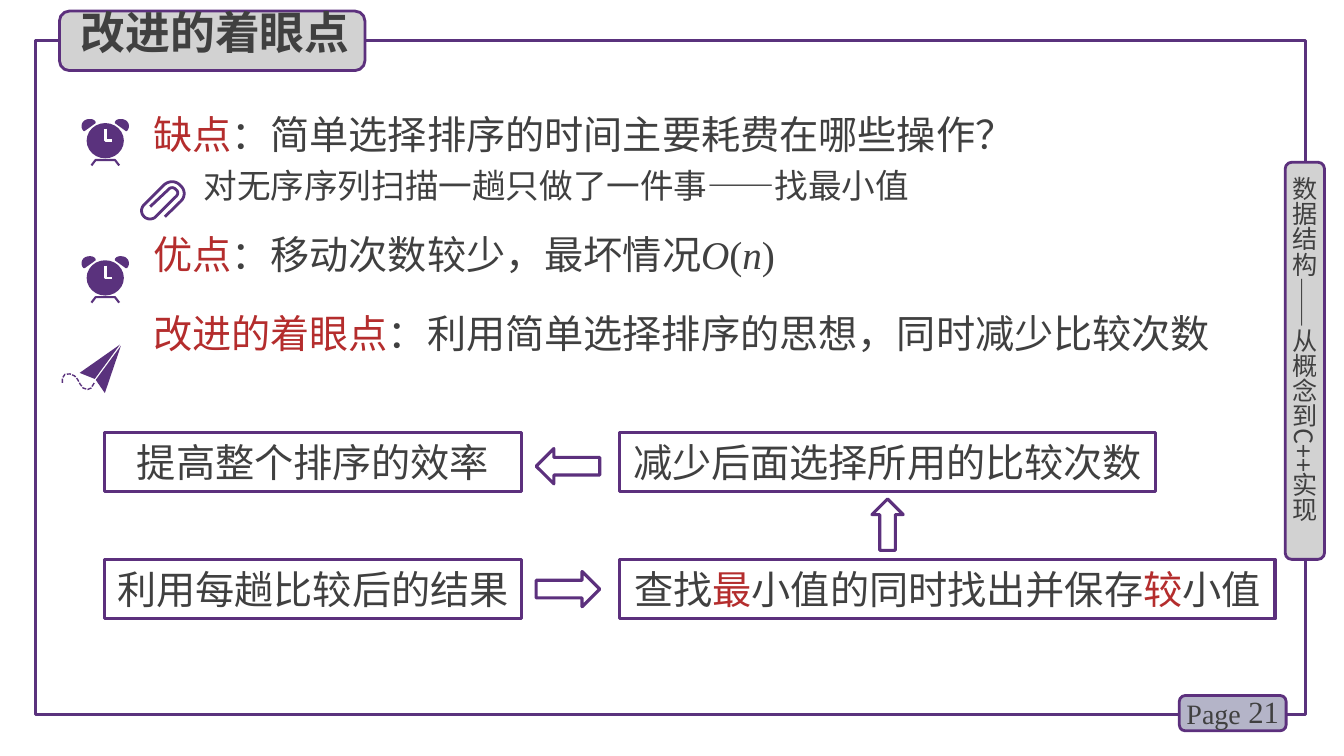
import pptx
import pptx.dml.color
import pptx.enum.dml
import pptx.enum.shapes
import pptx.enum.text
import pptx.oxml
import pptx.oxml.ns
import pptx.util

Pt = pptx.util.Pt
PRESET = pptx.enum.shapes.MSO_SHAPE
ALIGN = pptx.enum.text.PP_ALIGN
ANCHOR = pptx.enum.text.MSO_ANCHOR
NS = pptx.oxml.ns.nsdecls("a")
HAN, SERIF = "Noto Sans CJK SC", "Times New Roman"
PURPLE, BORDER, RED, INK = "5A327D", "5C307D", "B42D2D", "404040"
GREY, LILAC, WHITE = "D2D2D2", "B4B4C8", "FFFFFF"


def paint(color_format, code):
    color_format.rgb = pptx.dml.color.RGBColor.from_string(code)


def trace(outline):
    """Points of an outline; six-number steps are cubic curves."""
    points = [outline[0]]
    for step in outline[1:]:
        if len(step) == 2:
            points.append(step)
            continue
        nodes = [points[-1], step[:2], step[2:4], step[4:]]
        for t in (i / 10 for i in range(1, 11)):
            weights = ((1 - t) ** 3, 3 * t * (1 - t) ** 2, 3 * t * t * (1 - t), t ** 3)
            points.append(tuple(sum(w * n[axis] for w, n in zip(weights, nodes))
                                for axis in (0, 1)))
    return points


class Board:
    def __init__(self, slide):
        self.slide = slide
        self.shapes = slide.shapes

    def style(self, shape, fill, line, width):
        shape.shadow.inherit = False
        if fill:
            shape.fill.solid()
            paint(shape.fill.fore_color, fill)
        else:
            shape.fill.background()
        if line:
            paint(shape.line.color, line)
            shape.line.width = Pt(width)
        else:
            shape.line.fill.background()
        return shape

    def preset(self, kind, box, fill=None, line=BORDER, width=2.25, turn=0):
        shape = self.shapes.add_shape(kind, *map(Pt, box))
        shape.rotation = turn
        return self.style(shape, fill, line, width)

    def outline(self, origin, points, fill=None, line=None, width=1):
        spots = [(Pt(origin[0] + x), Pt(origin[1] + y)) for x, y in points]
        builder = self.shapes.build_freeform(*spots[0], scale=1.0)
        builder.add_line_segments(spots[1:], close=fill is not None)
        return self.style(builder.convert_to_shape(), fill, line, width)

    def frame(self, shape, anchor):
        frame = shape.text_frame
        frame.word_wrap = True
        frame.auto_size = pptx.enum.text.MSO_AUTO_SIZE.NONE
        frame.vertical_anchor = anchor
        frame.margin_left = frame.margin_right = frame.margin_top = frame.margin_bottom = 0
        return frame

    def typeset(self, paragraph, runs, size, font=HAN, bold=False, align=ALIGN.LEFT,
                before=0, indent=0):
        paragraph.alignment = align
        paragraph.space_before = Pt(before)
        props = paragraph._p.get_or_add_pPr()
        props.set("marL", str(Pt(indent)))
        props.set("indent", "0")
        props.append(pptx.oxml.parse_xml(f"<a:buNone {NS}/>"))
        paragraph.font.size = Pt(size)
        paragraph.font.bold = bold
        paragraph.font.name = font
        paint(paragraph.font.color, INK)
        props.get_or_add_defRPr().append(
            pptx.oxml.parse_xml(f'<a:ea {NS} typeface="{font}"/>'))
        for text, look in runs:
            run = paragraph.add_run()
            run.text = text
            if "color" in look:
                paint(run.font.color, look["color"])
            if "font" in look:
                run.font.name = look["font"]
                run.font.italic = look.get("italic", False)

    def label(self, box, text, size, font=HAN, align=ALIGN.LEFT, vertical=False):
        shape = self.shapes.add_textbox(*map(Pt, box))
        frame = self.frame(shape, ANCHOR.MIDDLE)
        if vertical:
            frame._txBody.bodyPr.set("vert", "eaVert")
        self.typeset(frame.paragraphs[0], [(text, {})], size, font, align=align)

    def step(self, box, runs):
        shape = self.preset(PRESET.RECTANGLE, box)
        frame = self.frame(shape, ANCHOR.MIDDLE)
        self.typeset(frame.paragraphs[0], runs, 28, align=ALIGN.CENTER)

    def place(self, holder, box):
        """Move a placeholder to its box, in front of what is drawn so far."""
        holder.left, holder.top, holder.width, holder.height = map(Pt, box)
        self.shapes._spTree.append(holder._element)
        return self.frame(holder, ANCHOR.TOP)

    def clock(self, top):
        origin, width = (58.3, top), 33.8
        bell = trace([(5.8, 0), (2.2, 0, 0, 2.2, 0, 5), (0, 6.5, 0.4, 7.4, 1.4, 8.6),
                      (2.2, 8.6), (10.1, 2.9), (10.1, 2.2), (9.4, 0.7, 7.9, 0, 5.8, 0)])
        self.outline(origin, bell, PURPLE)
        self.outline(origin, [(width - x, y) for x, y in bell], PURPLE)
        self.preset(PRESET.OVAL, (origin[0] + 3.6, top + 2.9, 26.6, 25.2), PURPLE, None)
        self.outline(origin, [(16.9, 6.8), (16.9, 15.5), (22, 15.5)], None, WHITE, 2)
        self.outline(origin, [(7, 33.2), (10, 29.3), (23.8, 29.3), (26.8, 33.2)],
                     None, PURPLE, 1.5)

    def paperclip(self, origin):
        wire = [(18.4, 25.9), (29.5, 15.1), (33.1, 11.9, 33.1, 6.8, 29.5, 3.6),
                (26.3, 0, 20.9, 0, 17.3, 3.6), (3.6, 17.3),
                (1.1, 19.8, 1.1, 23.4, 3.6, 25.9), (5.8, 28.1, 10.1, 28.1, 12.2, 25.6),
                (25.9, 11.9), (28.1, 10.1, 28.1, 7.9, 26.3, 6.5),
                (24.8, 4.7, 22.3, 4.7, 20.9, 6.5), (7.9, 18.7)]
        self.outline(origin, trace(wire), None, PURPLE, 2)

    def paper_plane(self, origin):
        self.outline(origin, [(42.5, 0.7), (31, 34.6), (24.5, 25.2)], PURPLE)
        self.outline(origin, [(41.8, 0), (23.8, 24.5), (13, 20.2)], PURPLE)
        trail = [(23.4, 27.4), (21.2, 31), (18.7, 32), (15.5, 31), (13.3, 28.1),
                 (11.5, 24.8), (9.4, 22.3), (6.1, 20.9), (2.5, 21.2), (0.7, 23.8), (0.7, 27.4)]
        flight = self.outline(origin, trail, None, PURPLE, 1)
        flight.line.dash_style = pptx.enum.dml.MSO_LINE.SQUARE_DOT


def main():
    deck = pptx.Presentation()
    deck.slide_width, deck.slide_height = Pt(960), Pt(540)
    board = Board(deck.slides.add_slide(deck.slide_layouts[1]))
    title, body = board.slide.placeholders

    # Frame, page number and side label
    board.preset(PRESET.RECTANGLE, (25.2, 28.8, 907.2, 481.7), line=PURPLE)
    board.preset(PRESET.ROUNDED_RECTANGLE, (842.4, 496.8, 76.3, 25.2), LILAC, width=2)
    board.label((847.5, 495.4, 45, 28), "Page", 20, SERIF)
    board.label((885, 493.9, 28.7, 28.8), "21", 22, SERIF, ALIGN.RIGHT)
    board.preset(PRESET.ROUNDED_RECTANGLE, (918, 115.9, 28.1, 283.7), GREY, width=2)
    board.label((920.9, 126, 21.6, 272.2), "数据结构——从概念到C++实现", 18, vertical=True)

    # Title
    board.preset(PRESET.ROUNDED_RECTANGLE, (42.5, 7.9, 218.2, 42.5), GREY, width=2)
    heading = board.place(title, (57.6, 3.6, 200, 46))
    board.typeset(heading.paragraphs[0], [("改进的着眼点", {})], 32, bold=True)

    # Points: runs, size, space before, indent
    key = {"color": RED}
    upright, slanted = {"font": SERIF}, {"font": SERIF, "italic": True}
    points = [
        ([("缺点", key), ("：简单选择排序的时间主要耗费在哪些操作？", {})], 28, 0, 0),
        ([("对无序序列扫描一趟只做了一件事——找最小值", {})], 24, 5.8, 36),
        ([("优点", key), ("：移动次数较少，最坏情况", {}), ("O", slanted), ("(", upright),
          ("n", slanted), (")", upright)], 28, 17.8, 0),
        ([("改进的着眼点", key), ("：利用简单选择排序的思想，同时减少比较次数", {})], 28, 22.7, 0),
    ]
    listing = board.place(body, (109.4, 78.6, 780, 204))
    for number, (runs, size, before, indent) in enumerate(points):
        paragraph = listing.add_paragraph() if number else listing.paragraphs[0]
        paragraph.level = 1 if indent else 0
        board.typeset(paragraph, runs, size, before=before, indent=indent)

    # Icons beside the points
    for top in (85, 183):
        board.clock(top)
    board.paperclip((99.4, 128.9))
    board.paper_plane((43.9, 246.2))

    # Flow from comparison results to higher efficiency
    left, right, upper, lower, height = 74.9, 442.8, 308.9, 399.6, 42.5
    board.step((left, lower, 297.4, height), [("利用每趟比较后的结果", {})])
    board.step((right, lower, 468, height),
               [("查找", {}), ("最", key), ("小值的同时找出并保存", {}), ("较", key), ("小值", {})])
    board.step((right, upper, 382.3, height), [("减少后面选择所用的比较次数", {})])
    board.step((left, upper, 297.4, height), [("提高整个排序的效率", {})])
    for box, turn in (((383, 408.2, 45.4, 25.2), 0), ((615.6, 363.6, 36.7, 22.3), 270),
                      ((383, 320.4, 45.4, 25.2), 180)):
        board.preset(PRESET.RIGHT_ARROW, box, turn=turn)

    deck.save("out.pptx")


if __name__ == "__main__":
    main()
